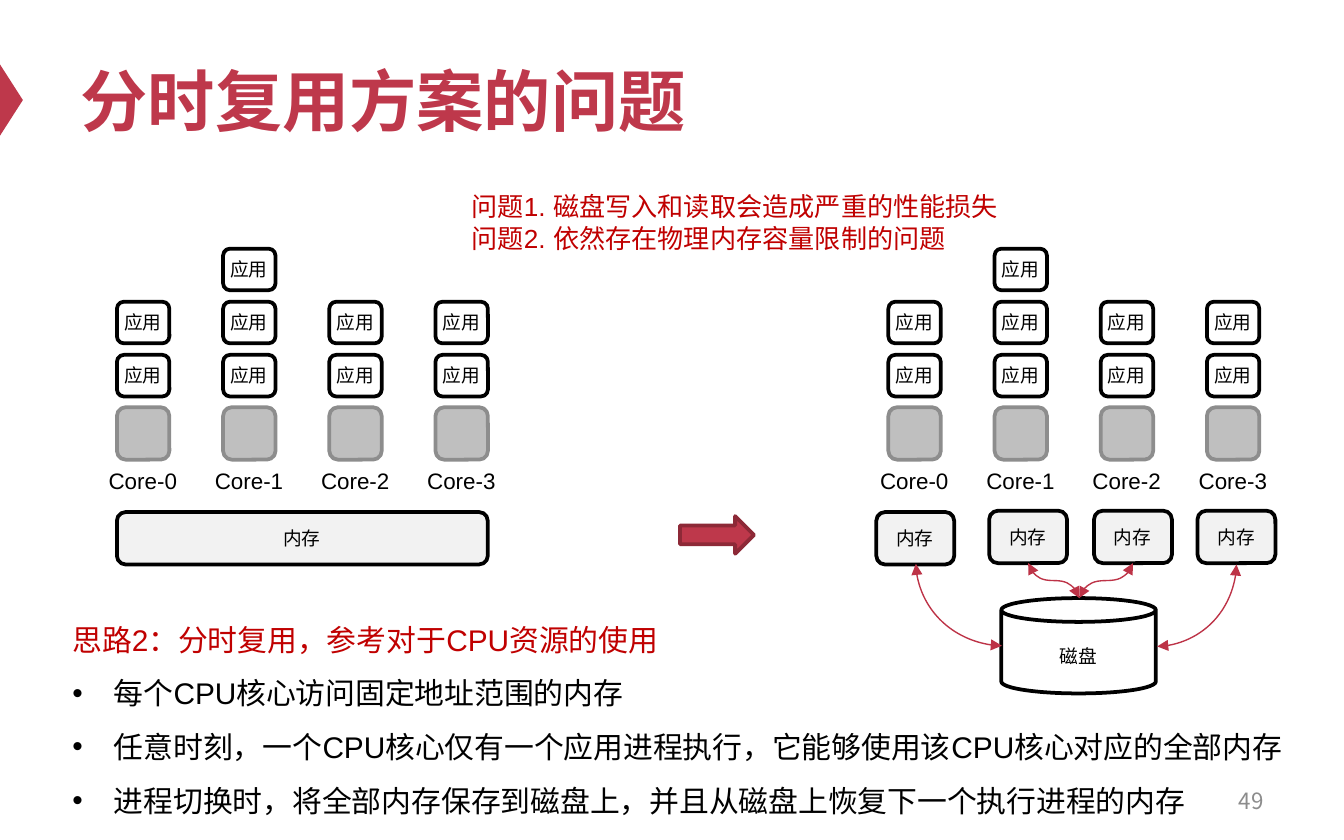
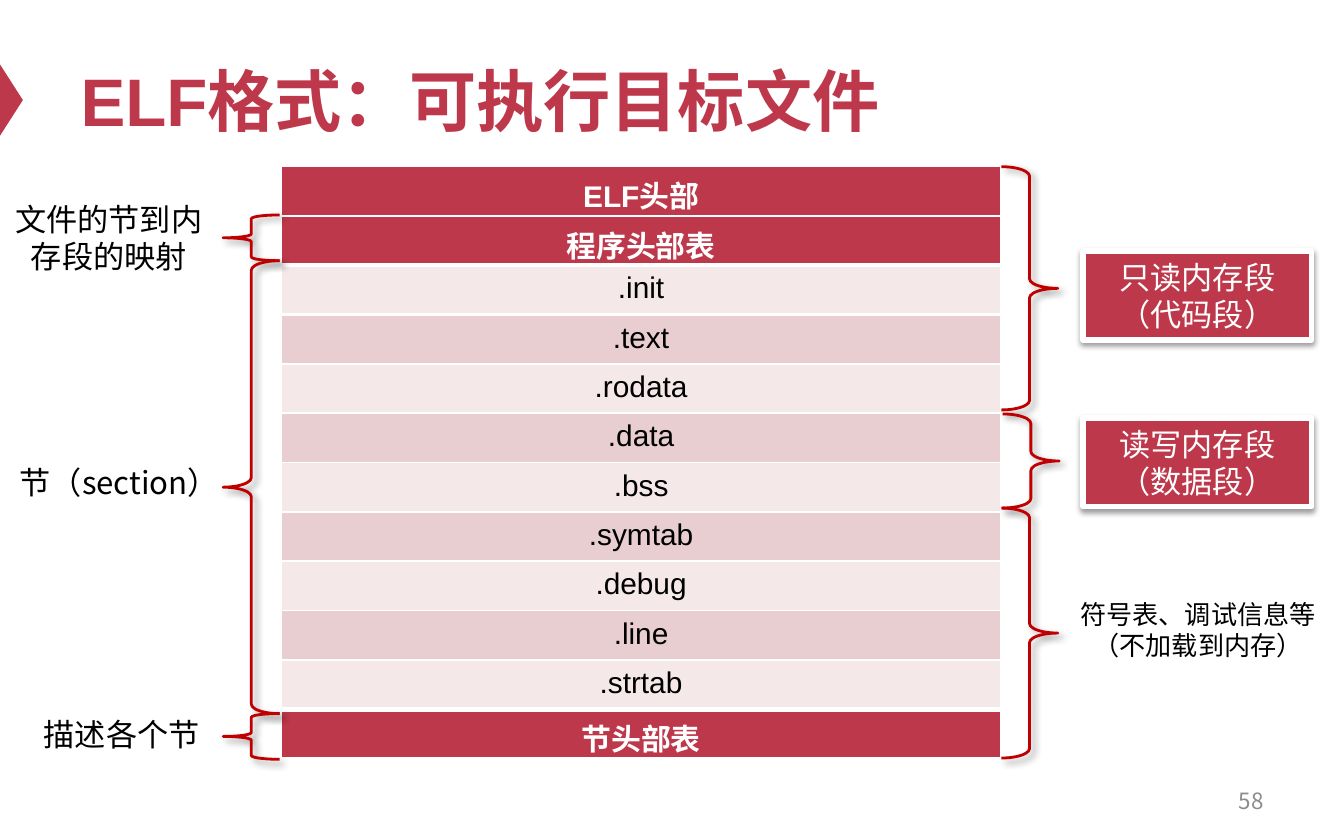
"""Builds two lecture slides: time-sharing memory problems and the ELF layout."""
from dataclasses import dataclass
from typing import Optional, Sequence

from lxml import etree
from pptx import Presentation
from pptx.dml.color import RGBColor
from pptx.enum import shapes, text
from pptx.oxml.ns import qn
from pptx.util import Inches, Pt

RED, DARK_RED, ACCENT, CURVE_RED = "BE384B", "8D2937", "C00000", "BD3347"
BLACK, WHITE, GREY = "000000", "FFFFFF", "8C8C8C"
CORE_FILL, CORE_EDGE, MEMORY_FILL = "BFBFBF", "8D8D8D", "F2F2F2"
PALE_ROWS = ("F4E8E9", "E8CED0")
LATIN, CJK = "Arial", "Noto Sans CJK SC"
FORM = shapes.MSO_SHAPE
LEFT, CENTER, RIGHT = text.PP_ALIGN.LEFT, text.PP_ALIGN.CENTER, text.PP_ALIGN.RIGHT

CORE_STEP, CORE_SIZE = 0.79, 0.39
APP_TOP, APP_STEP, APP_HEIGHT = 2.64, 0.395, 0.31
APPS_PER_CORE = (2, 3, 2, 2)
CAPTION_WIDTH, CAPTION_HEIGHT = 0.48, 0.27


@dataclass(frozen=True)
class Area:
    left: float
    top: float
    width: float
    height: float

    def lengths(self) -> tuple:
        return tuple(Inches(v) for v in (self.left, self.top, self.width, self.height))


@dataclass(frozen=True)
class Style:
    size: float
    color: str = BLACK
    font: str = LATIN
    bold: bool = False
    align: text.PP_ALIGN = LEFT


@dataclass(frozen=True)
class Shadow:
    opacity: int
    blur: float
    distance: float
    angle: int


@dataclass(frozen=True)
class Look:
    fill: Optional[str]
    edge: Optional[str]
    weight: float = 2
    shadow: Optional[Shadow] = None


@dataclass(frozen=True)
class Curve:
    area: Area
    rotation: int
    flipped: bool
    preset: str


@dataclass(frozen=True)
class Brace:
    area: Area
    curl: float
    rotation: int = 0


@dataclass(frozen=True)
class Note:
    area: Area
    lines: Sequence[str]
    style: Style


TITLE = Style(36, RED, bold=True)
NUMBER = Style(12, GREY, CJK, align=RIGHT)
CAPTION = Style(10)
CORE_NAME = Style(12)
PROBLEM = Style(14, ACCENT)
IDEA, POINT = Style(16, ACCENT), Style(16)
SIDE_LEFT = Style(16.7, font=CJK)
SIDE = Style(16.7, font=CJK, align=CENTER)
SMALL_SIDE = Style(14, font=CJK, align=CENTER)
SEGMENT = Style(16.7, WHITE, CJK, align=CENTER)
HEADER_ROW = Style(16, WHITE, bold=True, align=CENTER)
SECTION_ROW = Style(16, align=CENTER)

APP = Look(None, BLACK)
MEMORY = Look(MEMORY_FILL, BLACK)
BRACE = Look(None, ACCENT, 1.5, Shadow(40, 4, 3, 45))
SEGMENT_BOX = Look(RED, WHITE, 3, Shadow(38, 3.1, 1.6, 90))

CURVES = (
    Curve(Area(6.83, 4.18, 0.61, 0.64), 270, True, "curvedConnector2"),
    Curve(Area(7.71, 4.13, 0.26, 0.38), 270, True, "curvedConnector3"),
    Curve(Area(8.1, 4.12, 0.26, 0.4), 90, False, "curvedConnector3"),
    Curve(Area(8.6, 4.21, 0.61, 0.59), 90, False, "curvedConnector2"),
)
POINTS = (
    "每个CPU核心访问固定地址范围的内存",
    "任意时刻，一个CPU核心仅有一个应用进程执行，它能够使用该CPU核心对应的全部内存",
    "进程切换时，将全部内存保存到磁盘上，并且从磁盘上恢复下一个执行进程的内存",
)
ELF_ROWS = ("ELF头部", "程序头部表", ".init", ".text", ".rodata", ".data", ".bss",
            ".symtab", ".debug", ".line", ".strtab", "节头部表")
HEADERS = (0, 1, 11)
THICK_RULES = {2: 2.25, 3: 2.25, 11: 3, 12: 2.25}
BRACES = (
    Brace(Area(1.66, 1.6, 0.42, 0.34), 0.083),
    Brace(Area(1.66, 1.94, 0.42, 3.37), 0.169),
    Brace(Area(1.66, 5.31, 0.42, 0.34), 0.083),
    Brace(Area(7.45, 1.24, 0.42, 1.81), 0.169, 180),
    Brace(Area(7.46, 3.08, 0.42, 0.7), 0.169, 180),
    Brace(Area(7.45, 3.78, 0.42, 1.86), 0.169, 180),
)
SIDE_NOTES = (
    Note(Area(-0.04, 1.44, 1.7, 0.66), ["文件的节到内存段的映射"], SIDE),
    Note(Area(0.05, 3.4, 1.7, 0.38), ["节（section）"], SIDE_LEFT),
    Note(Area(0.21, 5.27, 1.39, 0.38), ["描述各个节"], SIDE),
    Note(Area(7.85, 4.4, 2.13, 0.57), ["符号表、调试信息等", "（不加载到内存）"], SMALL_SIDE),
)
SEGMENTS = (
    Note(Area(8.06, 1.87, 1.7, 0.66), ["只读内存段", "（代码段）"], SEGMENT),
    Note(Area(8.06, 3.11, 1.7, 0.66), ["读写内存段", "（数据段）"], SEGMENT),
)


def rgb(value: str) -> RGBColor:
    return RGBColor.from_string(value)


def set_style(paragraph, style: Style) -> None:
    paragraph.alignment = style.align
    font = paragraph.font
    font.name, font.size, font.bold = style.font, Pt(style.size), style.bold
    font.color.rgb = rgb(style.color)


def write(frame, lines: Sequence[str], style: Style) -> None:
    frame.text = "\n".join(lines)
    for paragraph in frame.paragraphs:
        set_style(paragraph, style)


def add_text(slide, area: Area, lines: Sequence[str], style: Style, wrap: bool = True):
    frame = slide.shapes.add_textbox(*area.lengths()).text_frame
    frame.word_wrap = wrap
    write(frame, lines, style)
    return frame


def add_form(slide, form: FORM, area: Area, look: Look):
    shape = slide.shapes.add_shape(form, *area.lengths())
    shape.shadow.inherit = False
    if look.fill:
        shape.fill.solid()
        shape.fill.fore_color.rgb = rgb(look.fill)
    else:
        shape.fill.background()
    if look.edge:
        shape.line.color.rgb = rgb(look.edge)
        shape.line.width = Pt(look.weight)
    else:
        shape.line.fill.background()
    if look.shadow:
        add_shadow(shape, look.shadow)
    return shape


def add_shadow(shape, shadow: Shadow) -> None:
    effects = shape._element.spPr.find(qn("a:effectLst"))
    outer = etree.SubElement(effects, qn("a:outerShdw"), blurRad=str(Pt(shadow.blur)),
                             dist=str(Pt(shadow.distance)), dir=str(shadow.angle * 60000),
                             rotWithShape="0")
    color = etree.SubElement(outer, qn("a:srgbClr"), val=BLACK)
    etree.SubElement(color, qn("a:alpha"), val=str(shadow.opacity * 1000))


def add_captioned(slide, form: FORM, area: Area, look: Look, caption: str,
                  drop: float = 0) -> None:
    add_form(slide, form, area, look)
    place = Area(area.left + (area.width - CAPTION_WIDTH) / 2,
                 area.top + (area.height - CAPTION_HEIGHT) / 2 + drop,
                 CAPTION_WIDTH, CAPTION_HEIGHT)
    add_text(slide, place, [caption], CAPTION, wrap=False)


def add_curve(slide, curve: Curve) -> None:
    left, top, width, height = curve.area.lengths()
    start, end = (left + width, left) if curve.flipped else (left, left + width)
    connector = slide.shapes.add_connector(shapes.MSO_CONNECTOR.CURVE,
                                           start, top, end, top + height)
    connector.line.color.rgb = rgb(CURVE_RED)
    connector.line.width = Pt(0.75)
    properties = connector._element.spPr
    properties.find(qn("a:xfrm")).set("rot", str(curve.rotation * 60000))
    properties.find(qn("a:prstGeom")).set("prst", curve.preset)
    for tip in ("a:headEnd", "a:tailEnd"):
        etree.SubElement(properties.find(qn("a:ln")), qn(tip), type="triangle")
    etree.SubElement(properties, qn("a:effectLst"))


def add_slide(deck, heading: str, number: int):
    slide = deck.slides.add_slide(deck.slide_layouts[5])
    add_form(slide, FORM.ISOSCELES_TRIANGLE, Area(-0.18, 0.66, 0.53, 0.17),
             Look(RED, None)).rotation = 90
    title = slide.shapes.title
    title.left, title.top, title.width, title.height = Area(0.5, 0.25, 9, 0.98).lengths()
    title.text_frame.vertical_anchor = text.MSO_ANCHOR.MIDDLE
    write(title.text_frame, [heading], TITLE)
    footer = add_text(slide, Area(7.17, 5.79, 2.33, 0.33), [str(number)], NUMBER)
    footer.vertical_anchor = text.MSO_ANCHOR.MIDDLE
    return slide


def add_cores(slide, left: float) -> None:
    for core, apps in enumerate(APPS_PER_CORE):
        x = left + core * CORE_STEP
        add_form(slide, FORM.ROUNDED_RECTANGLE, Area(x, 3.03, CORE_SIZE, CORE_SIZE),
                 Look(CORE_FILL, CORE_EDGE))
        add_text(slide, Area(x - 0.16, 3.43, 0.71, 0.3), [f"Core-{core}"], CORE_NAME,
                 wrap=False)
        for level in range(apps):
            app = Area(x, APP_TOP - level * APP_STEP, CORE_SIZE, APP_HEIGHT)
            add_captioned(slide, FORM.ROUNDED_RECTANGLE, app, APP, "应用")


def add_ideas(slide) -> None:
    frame = add_text(slide, Area(0.44, 4.44, 9.54, 1.67),
                     ["思路2：分时复用，参考对于CPU资源的使用"], IDEA)
    frame.paragraphs[0].line_spacing = 1.5
    for point in POINTS:
        paragraph = frame.add_paragraph()
        paragraph.text = point
        paragraph.line_spacing = 1.5
        properties = paragraph._p.get_or_add_pPr()
        properties.set("marL", str(Inches(0.31)))
        properties.set("indent", str(Inches(-0.31)))
        etree.SubElement(properties, qn("a:buFont"), typeface=LATIN)
        etree.SubElement(properties, qn("a:buChar"), char="•")
        set_style(paragraph, POINT)


def build_time_sharing(deck) -> None:
    slide = add_slide(deck, "分时复用方案的问题", 49)
    for left in (0.87, 6.61):
        add_cores(slide, left)
    memories = [Area(0.87, 3.81, 2.76, 0.39), Area(6.52, 3.81, 0.58, 0.39)]
    memories += [Area(x, 3.8, 0.58, 0.39) for x in (7.36, 8.14, 8.91)]
    for memory in memories:
        add_captioned(slide, FORM.ROUNDED_RECTANGLE, memory, MEMORY, "内存")
    add_ideas(slide)
    add_form(slide, FORM.RIGHT_ARROW, Area(5.06, 3.84, 0.55, 0.28), Look(RED, DARK_RED))
    add_captioned(slide, FORM.CAN, Area(7.45, 4.45, 1.15, 0.71), Look(WHITE, BLACK),
                  "磁盘", drop=0.08)
    for curve in CURVES:
        add_curve(slide, curve)
    add_text(slide, Area(3.41, 1.37, 4.15, 0.57),
             ["问题1. 磁盘写入和读取会造成严重的性能损失",
              "问题2. 依然存在物理内存容量限制的问题"], PROBLEM)


def set_border(cell, side: str, weight: float) -> None:
    line = etree.SubElement(cell._tc.get_or_add_tcPr(), qn(f"a:ln{side}"), w=str(Pt(weight)))
    fill = etree.SubElement(line, qn("a:solidFill"))
    etree.SubElement(fill, qn("a:srgbClr"), val=WHITE)


def add_elf_table(slide) -> None:
    table = slide.shapes.add_table(len(ELF_ROWS), 1, *Area(2.09, 1.24, 5.36, 4.4).lengths()).table
    table.first_row = table.horz_banding = False
    for row, name in enumerate(ELF_ROWS):
        cell = table.cell(row, 0)
        rules = {"L": 1, "R": 1, "T": THICK_RULES.get(row, 1), "B": THICK_RULES.get(row + 1, 1)}
        for side, weight in rules.items():
            set_border(cell, side, weight)
        header = row in HEADERS
        cell.fill.solid()
        cell.fill.fore_color.rgb = rgb(RED if header else PALE_ROWS[row % 2])
        write(cell.text_frame, [name], HEADER_ROW if header else SECTION_ROW)


def build_elf(deck) -> None:
    slide = add_slide(deck, "ELF格式：可执行目标文件", 58)
    add_elf_table(slide)
    for brace in BRACES:
        shape = add_form(slide, FORM.LEFT_BRACE, brace.area, BRACE)
        shape.adjustments[0], shape.adjustments[1] = brace.curl, 0.5
        shape.rotation = brace.rotation
    for note in SIDE_NOTES:
        add_text(slide, note.area, note.lines, note.style)
    for segment in SEGMENTS:
        box = add_form(slide, FORM.RECTANGLE, segment.area, SEGMENT_BOX)
        write(box.text_frame, segment.lines, segment.style)


def main() -> None:
    deck = Presentation()
    deck.slide_width, deck.slide_height = Inches(10), Inches(6.25)
    build_time_sharing(deck)
    build_elf(deck)
    deck.save("out.pptx")


if __name__ == "__main__":
    main()
